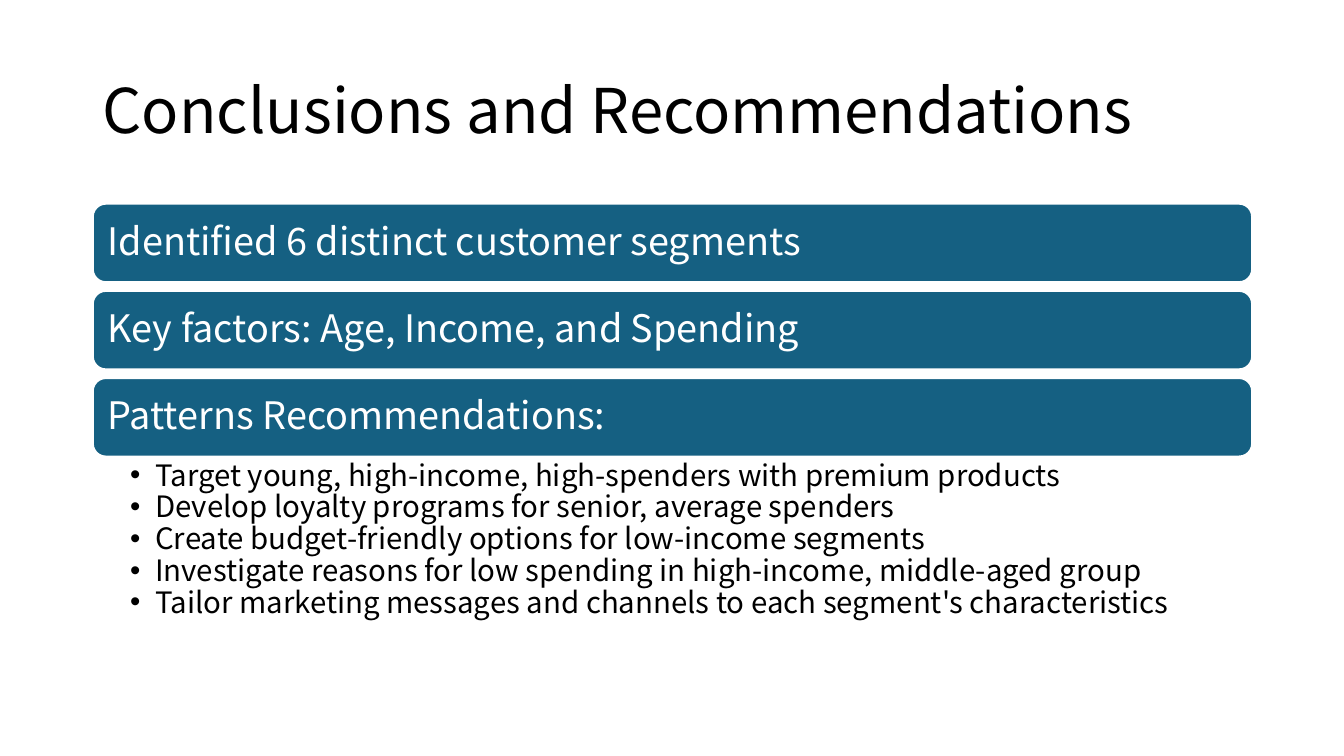
"""Build the conclusions slide: a title, three banners and a bullet list."""
from lxml.etree import SubElement
from pptx import Presentation
from pptx.dml.color import RGBColor as RGB
from pptx.enum.shapes import MSO_SHAPE as Shape
from pptx.enum.text import MSO_ANCHOR as Anchor, PP_ALIGN as Align
from pptx.oxml.ns import qn
from pptx.util import Inches, Pt

TITLE = "Conclusions and Recommendations"
BANNERS = [
    "Identified 6 distinct customer segments",
    "Key factors: Age, Income, and Spending",
    "Patterns Recommendations:",
]
ADVICE = [
    "Target young, high-income, high-spenders with premium products",
    "Develop loyalty programs for senior, average spenders",
    "Create budget-friendly options for low-income segments",
    "Investigate reasons for low spending in high-income, middle-aged group",
    "Tailor marketing messages and channels to each segment's characteristics",
]
THEME = {
    "font": "Noto Sans CJK SC",
    "ink": RGB.from_string("000000"),
    "pale": RGB.from_string("FFFFFF"),
    "teal": RGB.from_string("156082"),
    "title": Pt(44),
    "banner": Pt(27),
    "advice": Pt(21),
}
LEFT, WIDTH = 0.92, 11.5
TOP, HIGH, STEP = 2.02, 0.78, 0.865


def write(shape, lines, size, color, inset, anchor=Anchor.MIDDLE):
    frame = shape.text_frame
    sides = ("margin_left", "margin_top", "margin_right", "margin_bottom")
    form = dict(zip(sides, map(Inches, inset)))
    form.update(word_wrap=True, vertical_anchor=anchor)
    for name, value in form.items():
        setattr(frame, name, value)
    frame.text = "\n".join(lines)
    for para in frame.paragraphs:
        para.alignment, para.line_spacing = Align.LEFT, 0.9
        font = para.runs[0].font
        for name, value in {"name": THEME["font"], "size": THEME[size]}.items():
            setattr(font, name, value)
        font.color.rgb = THEME[color]
    return frame.paragraphs


def bullet(para):
    para.level = 1
    props = para._p.get_or_add_pPr()
    for name, value in {"marL": 0.25, "indent": -0.25}.items():
        props.set(name, str(Inches(value)))
    SubElement(props, qn("a:buFont")).set("typeface", "Arial")
    SubElement(props, qn("a:buChar")).set("char", "•")


def banner(shapes, row, text):
    box = map(Inches, (LEFT, TOP + row * STEP, WIDTH, HIGH))
    bar = shapes.add_shape(Shape.ROUNDED_RECTANGLE, *box)
    bar.shadow.inherit = False
    bar.fill.solid()
    bar.fill.fore_color.rgb = THEME["teal"]
    bar.line.color.rgb = THEME["pale"]
    bar.line.width = Pt(1.5)
    write(bar, [text], "banner", "pale", [0.11] * 4)


def main():
    deck = Presentation()
    deck.slide_width, deck.slide_height = Inches(13.33), Inches(7.5)
    shapes = deck.slides.add_slide(deck.slide_layouts[6]).shapes

    head = shapes.add_textbox(*map(Inches, (LEFT, 0.4, WIDTH, 1.45)))
    write(head, [TITLE], "title", "ink", (0.1, 0.05, 0.1, 0.05))

    for row, text in enumerate(BANNERS):
        banner(shapes, row, text)

    floor = TOP + (len(BANNERS) - 1) * STEP + HIGH
    body = shapes.add_textbox(*map(Inches, (LEFT, floor, WIDTH, 2.2)))
    inset = (0.37, 0.04, 0.21, 0.04)
    for para in write(body, ADVICE, "advice", "ink", inset, Anchor.TOP):
        bullet(para)

    deck.save("out.pptx")


if __name__ == "__main__":
    main()
